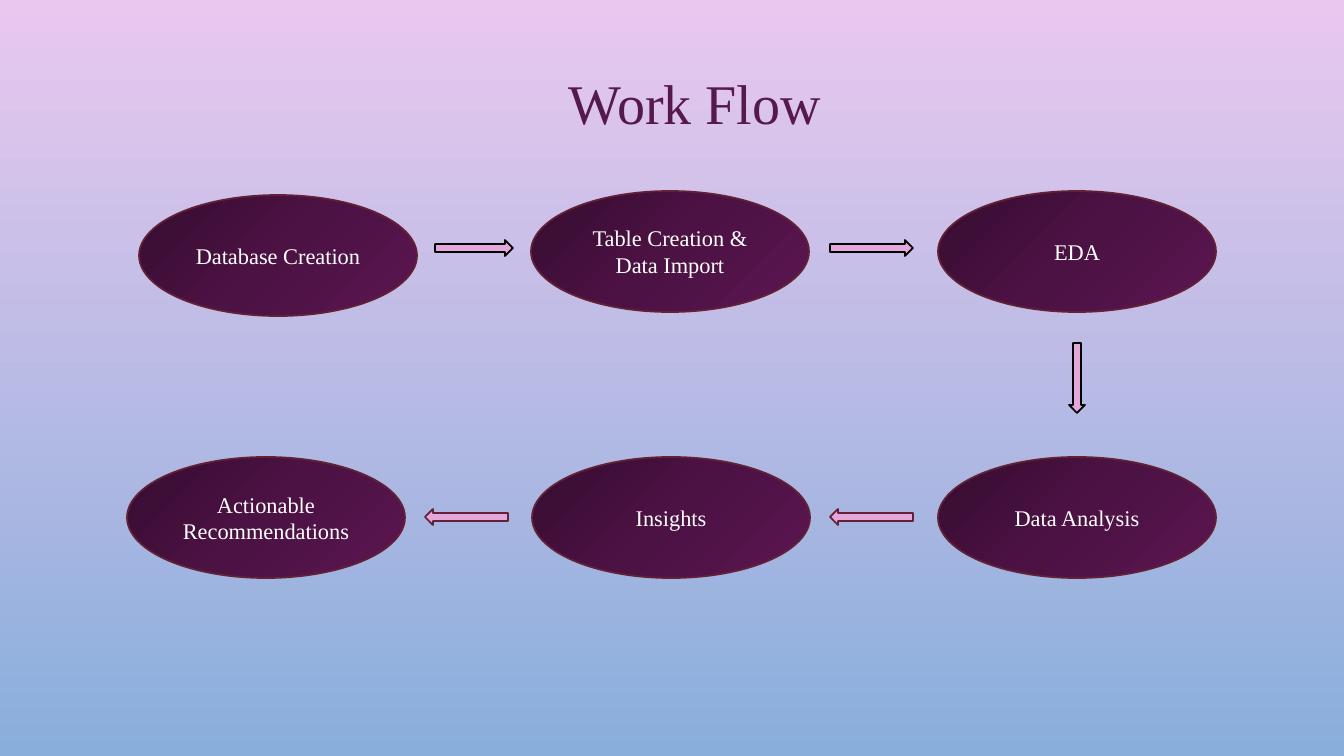
from copy import deepcopy
from dataclasses import dataclass

from pptx import Presentation
from pptx.dml.color import RGBColor
from pptx.enum.shapes import MSO_SHAPE
from pptx.enum.text import MSO_ANCHOR, MSO_AUTO_SIZE, PP_ALIGN
from pptx.oxml.ns import qn
from pptx.util import Pt

ELLIPSE = MSO_SHAPE.OVAL
RIGHT, DOWN, LEFT = MSO_SHAPE.RIGHT_ARROW, MSO_SHAPE.DOWN_ARROW, MSO_SHAPE.LEFT_ARROW
CENTER, MIDDLE = PP_ALIGN.CENTER, MSO_ANCHOR.MIDDLE
FIT_SHAPE = MSO_AUTO_SIZE.SHAPE_TO_FIT_TEXT

EMU_PER_PX = 914400 / 100.8
PAGE_WIDTH, PAGE_HEIGHT = 1344, 756
TITLE_BOX = (558, 64, 274, 78)
FLOW_BOX = (127, 191, 1089, 387)
STEP_WIDTH, STEP_HEIGHT = 278, 121
ARROW_THICKNESS = 16


@dataclass(frozen=True)
class Theme:
    font: str = "Times New Roman"
    title_size: int = 40
    step_size: int = 16
    line_width: float = 1.25
    title: str = "56194D"
    step_text: str = "FFFFFF"
    outline: str = "632135"
    arrow: str = "E5A6DB"
    dark_line: str = "000000"
    page_stops: tuple = ("E9C8EF", "89AEDB")
    step_stops: tuple = ("360C30", "4C1244", "5B1550")


THEME = Theme()


def px(length):
    return round(length * EMU_PER_PX)


def rgb(color):
    return RGBColor.from_string(color)


def fill_gradient(fill, element, colors, angle):
    """Spread colors evenly along a line turned clockwise by angle."""
    fill.gradient()
    fill.gradient_angle = 360 - angle
    stop_list = next(element.iter(qn("a:gsLst")))
    while len(stop_list) < len(colors):
        stop_list.append(deepcopy(stop_list[-1]))
    for index, (stop, color) in enumerate(zip(fill.gradient_stops, colors)):
        stop.color.rgb = rgb(color)
        stop.position = index / (len(colors) - 1)


def write_text(frame, text, size, color):
    frame.word_wrap = True
    para = frame.paragraphs[0]
    para.text = text
    para.alignment = CENTER
    para.font.name = THEME.font
    para.font.size = Pt(size)
    para.font.color.rgb = rgb(color)


def add_outlined(page, kind, box, line_color):
    shape = page.shapes.add_shape(kind, *map(px, box))
    shape.shadow.inherit = False
    shape.line.color.rgb = rgb(line_color)
    shape.line.width = Pt(THEME.line_width)
    return shape


def add_title(page, box):
    title = page.shapes.add_textbox(*map(px, box))
    write_text(title.text_frame, "Work Flow", THEME.title_size, THEME.title)
    title.text_frame.auto_size = FIT_SHAPE


def add_step(page, left, top, text):
    step = add_outlined(page, ELLIPSE, (left, top, STEP_WIDTH, STEP_HEIGHT), THEME.outline)
    fill_gradient(step.fill, step._element, THEME.step_stops, 45)
    write_text(step.text_frame, text, THEME.step_size, THEME.step_text)
    step.text_frame.vertical_anchor = MIDDLE


def add_arrow(page, kind, left, top, length, line_color):
    size = (ARROW_THICKNESS, length) if kind == DOWN else (length, ARROW_THICKNESS)
    arrow = add_outlined(page, kind, (left, top, *size), line_color)
    arrow.fill.solid()
    arrow.fill.fore_color.rgb = rgb(THEME.arrow)


def add_flow(page, box):
    """Steps run right along the top row, down, then left along the bottom row."""
    left, top, width, height = box
    last_column = width - STEP_WIDTH
    bottom_row = height - STEP_HEIGHT
    steps = [
        (12, 4, "Database Creation"),
        (404, 0, "Table Creation & Data Import"),
        (last_column, 0, "EDA"),
        (0, bottom_row, "Actionable Recommendations"),
        (405, bottom_row, "Insights"),
        (last_column, bottom_row, "Data Analysis"),
    ]
    for x, y, text in steps:
        add_step(page, left + x, top + y, text)

    down_x = last_column + (STEP_WIDTH - ARROW_THICKNESS) // 2
    arrows = [
        (RIGHT, 308, 49, 78, THEME.dark_line),
        (RIGHT, 703, 49, 83, THEME.dark_line),
        (DOWN, down_x, 152, 70, THEME.dark_line),
        (LEFT, 703, 318, 83, THEME.outline),
        (LEFT, 298, 318, 83, THEME.outline),
    ]
    for kind, x, y, length, line_color in arrows:
        add_arrow(page, kind, left + x, top + y, length, line_color)


def main():
    deck = Presentation()
    deck.slide_width, deck.slide_height = px(PAGE_WIDTH), px(PAGE_HEIGHT)
    page = deck.slides.add_slide(deck.slide_layouts[6])
    fill_gradient(page.background.fill, page._element, THEME.page_stops, 90)
    add_title(page, TITLE_BOX)
    add_flow(page, FLOW_BOX)
    deck.save("out.pptx")


if __name__ == "__main__":
    main()
